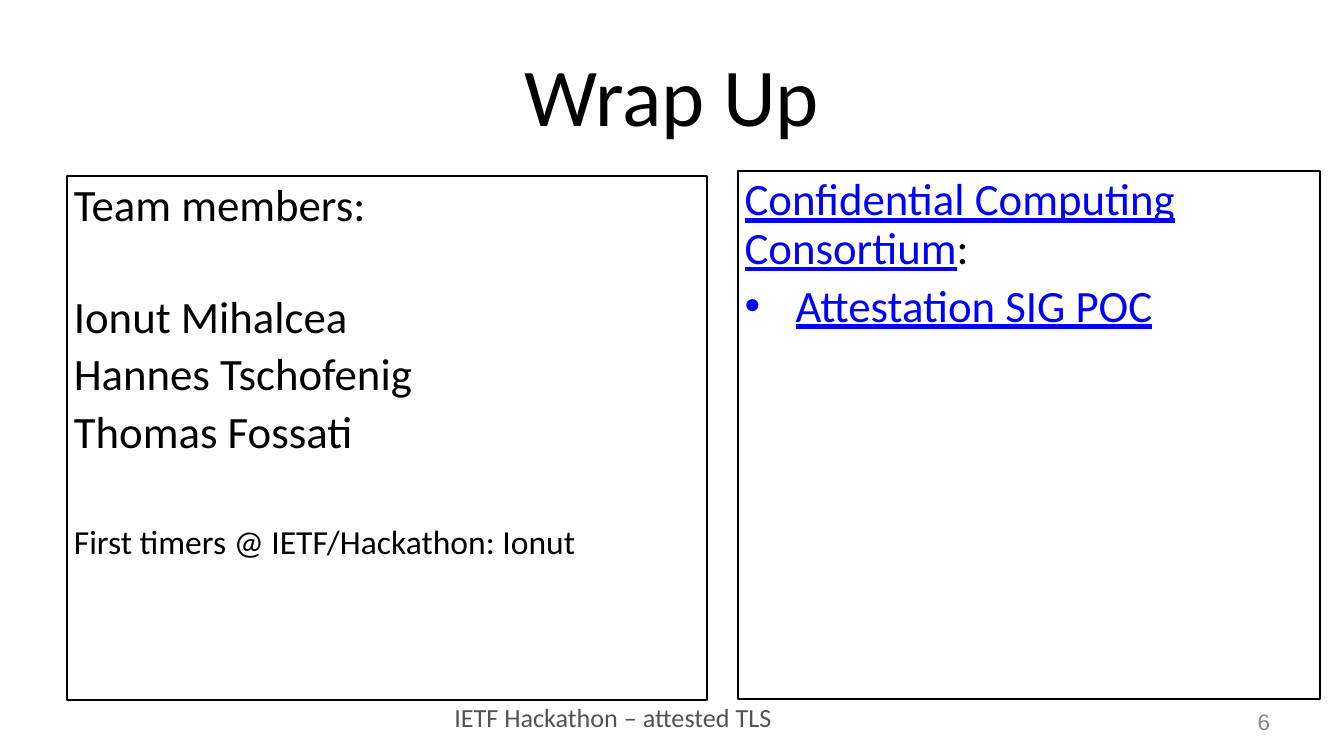
from dataclasses import dataclass

from lxml.etree import SubElement
from pptx import Presentation
from pptx.dml.color import RGBColor
from pptx.enum.shapes import MSO_SHAPE
from pptx.enum.text import MSO_ANCHOR, MSO_AUTO_SIZE, PP_ALIGN
from pptx.oxml.ns import qn
from pptx.util import Inches, Pt

COLORS = {"text": "000000", "link": "0000FF", "footer": "535353", "number": "888888"}


@dataclass
class Run:
    text: str
    color: str = "text"


@dataclass
class Para:
    runs: list[Run]
    size: int = 24
    font: str = "Calibri"
    before: int = 5
    spacing: float = 0.9
    align: PP_ALIGN = PP_ALIGN.LEFT
    bullet: bool = False


@dataclass
class Panel:
    box: tuple[float, float, float, float]
    paras: list[Para]


def color(key: str) -> RGBColor:
    return RGBColor.from_string(COLORS[key])


def label(text: str, size: int, tint: str, align: PP_ALIGN, font: str = "Calibri") -> Para:
    return Para([Run(text, tint)], size, font, 0, 1.0, align)


def place(shape, box: tuple[float, float, float, float]) -> None:
    shape.left, shape.top, shape.width, shape.height = map(Inches, box)


def add_bullet(para, tint: str) -> None:
    props = para._p.get_or_add_pPr()
    props.set("marL", str(Inches(0.38)))
    props.set("indent", str(-Inches(0.38)))
    SubElement(SubElement(props, qn("a:buClr")), qn("a:srgbClr")).set("val", COLORS[tint])
    SubElement(props, qn("a:buFont")).set("typeface", "Arial")
    SubElement(props, qn("a:buChar")).set("char", "•")


def write(shape, paras: list[Para], anchor: MSO_ANCHOR, wrap: bool = True) -> None:
    frame = shape.text_frame
    frame.word_wrap = wrap
    frame.auto_size = MSO_AUTO_SIZE.NONE
    frame.vertical_anchor = anchor
    frame.margin_left = frame.margin_right = Inches(0.05)
    frame.margin_top = frame.margin_bottom = Inches(0.05)
    for index, item in enumerate(paras):
        para = frame.add_paragraph() if index else frame.paragraphs[0]
        if item.bullet:
            add_bullet(para, item.runs[0].color)
        para.alignment = item.align
        para.line_spacing = item.spacing
        para.space_before = Pt(item.before)
        para.font.size = Pt(item.size)
        para.font.name = item.font
        for part in item.runs:
            run = para.add_run()
            run.text = part.text
            run.font.color.rgb = color(part.color)
            run.font.underline = part.color == "link"


def add_panel(slide, panel: Panel) -> None:
    shape = slide.shapes.add_shape(MSO_SHAPE.RECTANGLE, *map(Inches, panel.box))
    shape.shadow.inherit = False
    shape.fill.background()
    shape.line.color.rgb = color("text")
    shape.line.width = Pt(1)
    write(shape, panel.paras, MSO_ANCHOR.TOP)


def add_label(slide, box: tuple[float, float, float, float], para: Para, anchor: MSO_ANCHOR) -> None:
    write(slide.shapes.add_textbox(*map(Inches, box)), [para], anchor, False)


PANELS = [
    Panel((0.5, 1.31, 4.76, 3.9), [
        Para([Run("Team members:")]),
        Para([Run("Ionut Mihalcea")], before=34),
        Para([Run("Hannes Tschofenig")]),
        Para([Run("Thomas Fossati")]),
        Para([Run("First timers @ IETF/Hackathon: Ionut")], size=18, before=36),
    ]),
    Panel((5.49, 1.27, 4.33, 3.93), [
        Para([Run("Confidential Computing Consortium", "link"), Run(":")]),
        Para([Run("Attestation SIG POC", "link")], bullet=True),
    ]),
]


def main() -> None:
    deck = Presentation()
    deck.slide_width, deck.slide_height = Inches(10), Inches(10 * 9 / 16)
    slide = deck.slides.add_slide(deck.slide_layouts[5])
    add_label(slide, (3.33, 5.17, 2.51, 0.34),
              label("IETF Hackathon – attested TLS", 14, "footer", PP_ALIGN.LEFT), MSO_ANCHOR.TOP)
    title = slide.shapes.title
    place(title, (0.5, 0.23, 9, 0.94))
    write(title, [label("Wrap Up", 44, "text", PP_ALIGN.CENTER)], MSO_ANCHOR.MIDDLE)
    for panel in PANELS:
        add_panel(slide, panel)
    add_label(slide, (9.3, 5.22, 0.2, 0.29),
              label("6", 12, "number", PP_ALIGN.RIGHT, "Arial"), MSO_ANCHOR.MIDDLE)
    deck.save("out.pptx")


if __name__ == "__main__":
    main()
